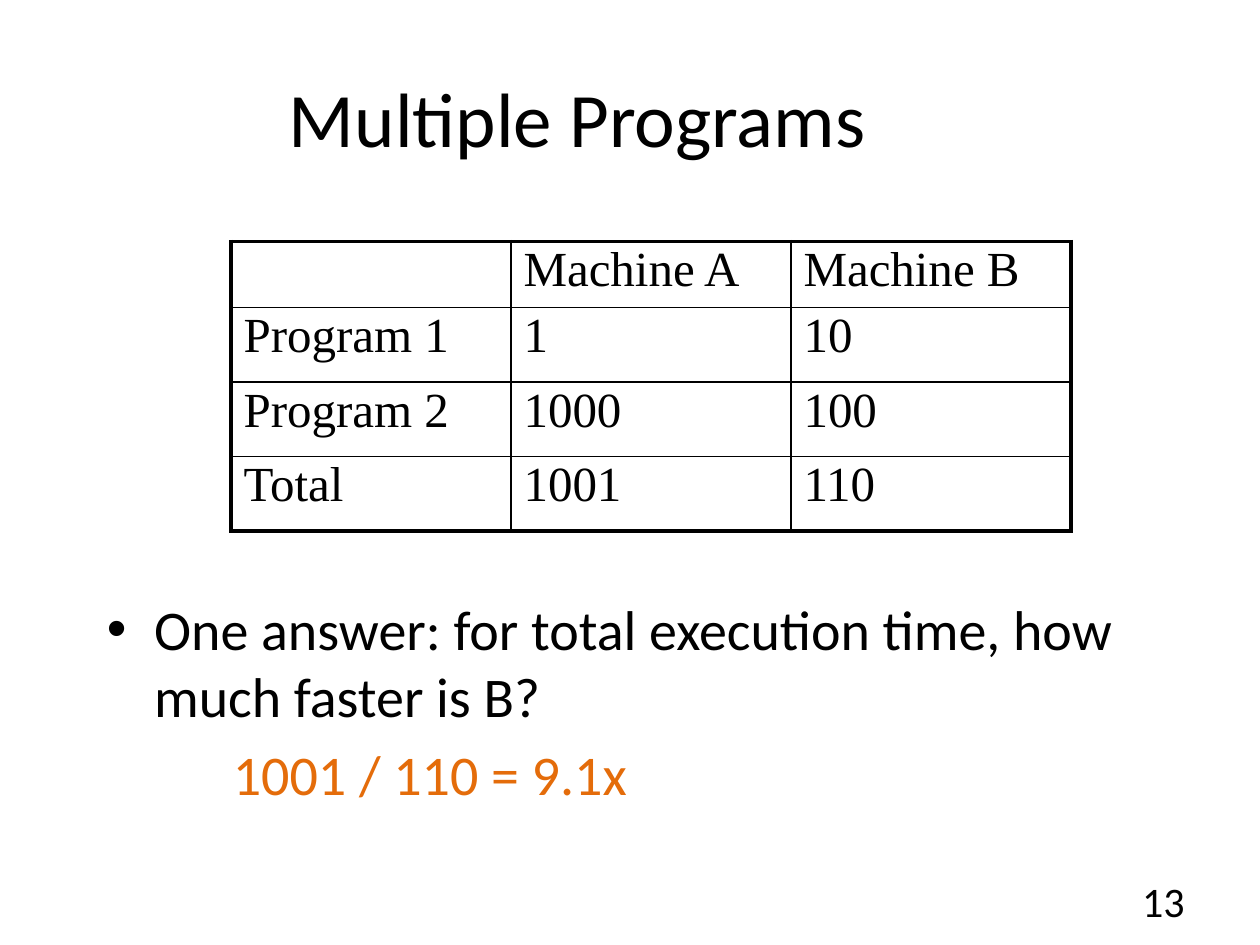
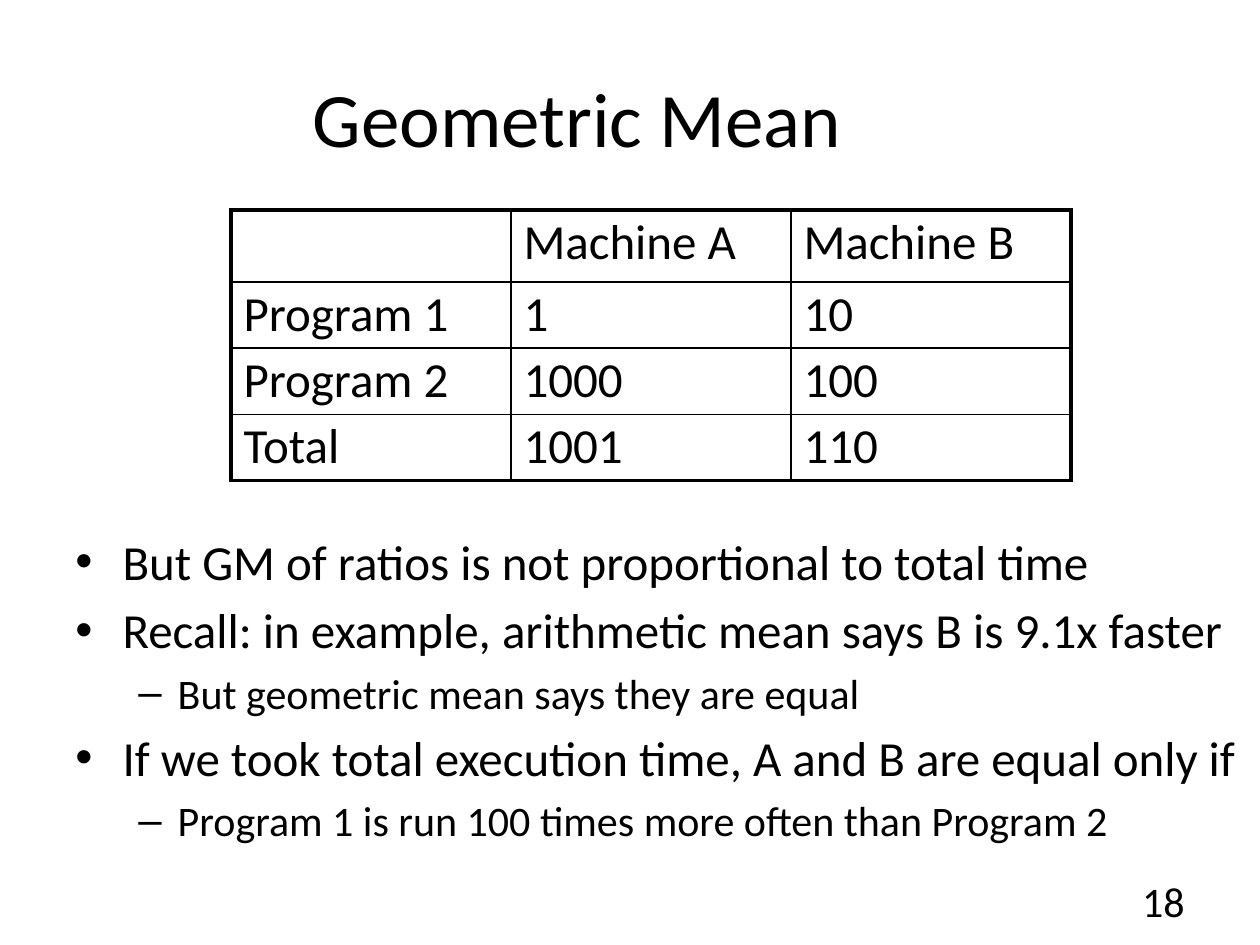
from dataclasses import dataclass
from typing import Any

from lxml import etree
from pptx import Presentation
from pptx.dml.color import RGBColor
from pptx.enum.text import MSO_ANCHOR, PP_ALIGN
from pptx.oxml.ns import qn
from pptx.util import Pt

LEFT, CENTER, RIGHT = PP_ALIGN.LEFT, PP_ALIGN.CENTER, PP_ALIGN.RIGHT
TOP, MIDDLE = MSO_ANCHOR.TOP, MSO_ANCHOR.MIDDLE

BLACK = "000000"
ORANGE = "E46C0A"
BODY_FONT = "Calibri"
TABLE_FONT_SIZE = 28
THICK, THIN = 2.25, 1
TABLE_LEFT, COLUMN_WIDTH = 132, 160
RUN_TIMES = [
    ["", "Machine A", "Machine B"],
    ["Program 1", "1", "10"],
    ["Program 2", "1000", "100"],
    ["Total", "1001", "110"],
]


@dataclass(frozen=True)
class Frame:
    left: float
    top: float
    width: float
    height: float


@dataclass(frozen=True)
class Line:
    text: str
    size: float
    color: str = BLACK
    align: Any = LEFT
    bullet: str = ""
    level: int = 0
    margin: float = 0
    hanging: float = 0


@dataclass(frozen=True)
class TimesTable:
    top: float
    row_heights: list[float]
    font: str


@dataclass(frozen=True)
class Page:
    title: str
    number: str
    table: TimesTable
    body: Frame
    lines: list[Line]


TITLE_FRAME = Frame(36, 21.6, 588, 90)
NUMBER_FRAME = Frame(600, 500.4, 84, 28.8)


def point(text: str, size: float) -> Line:
    return Line(text, size, bullet="•", margin=27, hanging=27)


def subpoint(text: str) -> Line:
    return Line(text, 24, bullet="–", level=1, margin=58.5, hanging=22.5)


PAGES = [
    Page(
        "Multiple Programs",
        "13",
        TimesTable(138, [37.8, 42.6, 42.6, 42.6], "Times New Roman"),
        Frame(54, 336, 612, 144),
        [
            point("One answer: for total execution time, how much faster is B?", 32),
            Line("1001 / 110 = 9.1x", 32, ORANGE, margin=72),
        ],
    ),
    Page(
        "Geometric Mean",
        "18",
        TimesTable(120, [41.2, 37.8, 37.8, 37.8], BODY_FONT),
        Frame(36, 300, 684, 182),
        [
            point("But GM of ratios is not proportional to total time", 28),
            point("Recall: in example, arithmetic mean says B is 9.1x faster", 28),
            subpoint("But geometric mean says they are equal"),
            point("If we took total execution time, A and B are equal only if", 28),
            subpoint("Program 1 is run 100 times more often than Program 2"),
        ],
    ),
]


def rgb(color: str) -> RGBColor:
    return RGBColor.from_string(color)


def apply_format(target: Any, values: dict[str, Any]) -> None:
    for name, value in values.items():
        setattr(target, name, value)


def write_span(para: Any, text: str, size: float, font: str, color: str) -> None:
    span = para.add_run()
    span.text = text
    apply_format(span.font, {"size": Pt(size), "name": font, "bold": False})
    span.font.color.rgb = rgb(color)


def add_text(slide: Any, frame: Frame, lines: list[Line], anchor: Any = TOP) -> None:
    box = slide.shapes.add_textbox(
        Pt(frame.left), Pt(frame.top), Pt(frame.width), Pt(frame.height)
    )
    apply_format(box.text_frame, {"word_wrap": True, "vertical_anchor": anchor})
    for index, line in enumerate(lines):
        para = box.text_frame.add_paragraph() if index else box.text_frame.paragraphs[0]
        properties = para._p.get_or_add_pPr()
        properties.set("marL", str(Pt(line.margin)))
        properties.set("indent", str(-Pt(line.hanging)))
        if line.bullet:
            etree.SubElement(properties, qn("a:buFont"), typeface="Arial")
            etree.SubElement(properties, qn("a:buChar"), char=line.bullet)
        else:
            etree.SubElement(properties, qn("a:buNone"))
        apply_format(
            para,
            {
                "alignment": line.align,
                "level": line.level,
                "space_before": Pt(line.size * 0.2 if index else 0),
            },
        )
        write_span(para, line.text, line.size, BODY_FONT, line.color)


def add_border(cell: Any, side: str, width: float) -> None:
    border = etree.SubElement(
        cell._tc.get_or_add_tcPr(), qn(f"a:ln{side}"), w=str(Pt(width))
    )
    fill = etree.SubElement(border, qn("a:solidFill"))
    etree.SubElement(fill, qn("a:srgbClr"), val=BLACK)


def add_times_table(slide: Any, design: TimesTable) -> None:
    row_count, column_count = len(RUN_TIMES), len(RUN_TIMES[0])
    table = slide.shapes.add_table(
        row_count,
        column_count,
        Pt(TABLE_LEFT),
        Pt(design.top),
        Pt(COLUMN_WIDTH * column_count),
        Pt(sum(design.row_heights)),
    ).table
    apply_format(table, {"first_row": False, "horz_banding": False})
    for column in table.columns:
        column.width = Pt(COLUMN_WIDTH)
    for row, height in zip(table.rows, design.row_heights):
        row.height = Pt(height)
    for row_index, values in enumerate(RUN_TIMES):
        for column_index, value in enumerate(values):
            cell = table.cell(row_index, column_index)
            outer_sides = {
                "L": column_index == 0,
                "R": column_index == column_count - 1,
                "T": row_index == 0,
                "B": row_index == row_count - 1,
            }
            for side, is_outer in outer_sides.items():
                add_border(cell, side, THICK if is_outer else THIN)
            cell.fill.background()
            if value:
                para = cell.text_frame.paragraphs[0]
                para.line_spacing = 0.9
                write_span(para, value, TABLE_FONT_SIZE, design.font, BLACK)


def add_page(deck: Any, page: Page) -> None:
    slide = deck.slides.add_slide(deck.slide_layouts[6])
    add_text(slide, TITLE_FRAME, [Line(page.title, 44, align=CENTER)], MIDDLE)
    add_text(slide, page.body, page.lines)
    add_times_table(slide, page.table)
    add_text(slide, NUMBER_FRAME, [Line(page.number, 24, align=RIGHT)], MIDDLE)


def main() -> None:
    deck = Presentation()
    apply_format(deck, {"slide_width": Pt(720), "slide_height": Pt(540)})
    for page in PAGES:
        add_page(deck, page)
    deck.save("out.pptx")


if __name__ == "__main__":
    main()
